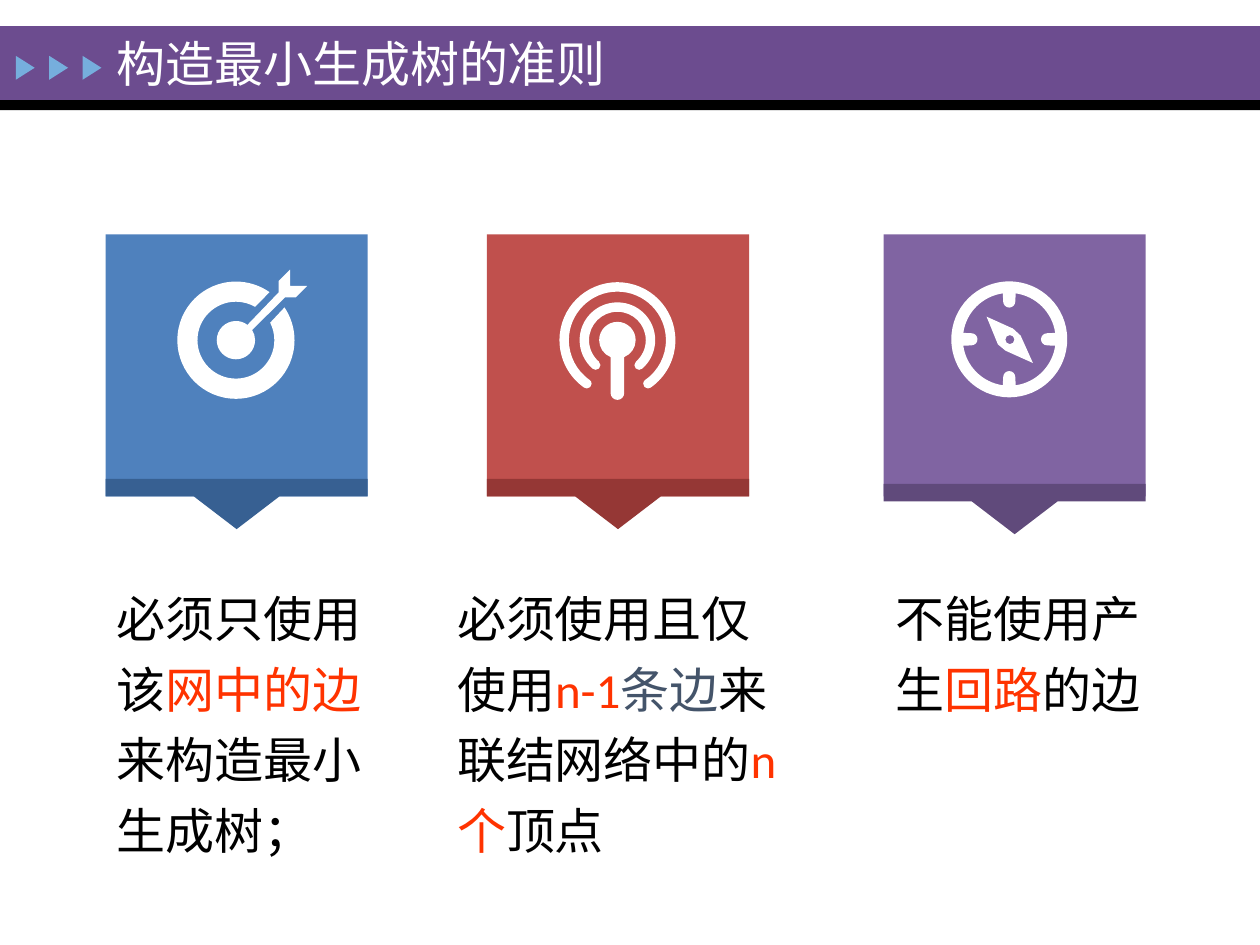
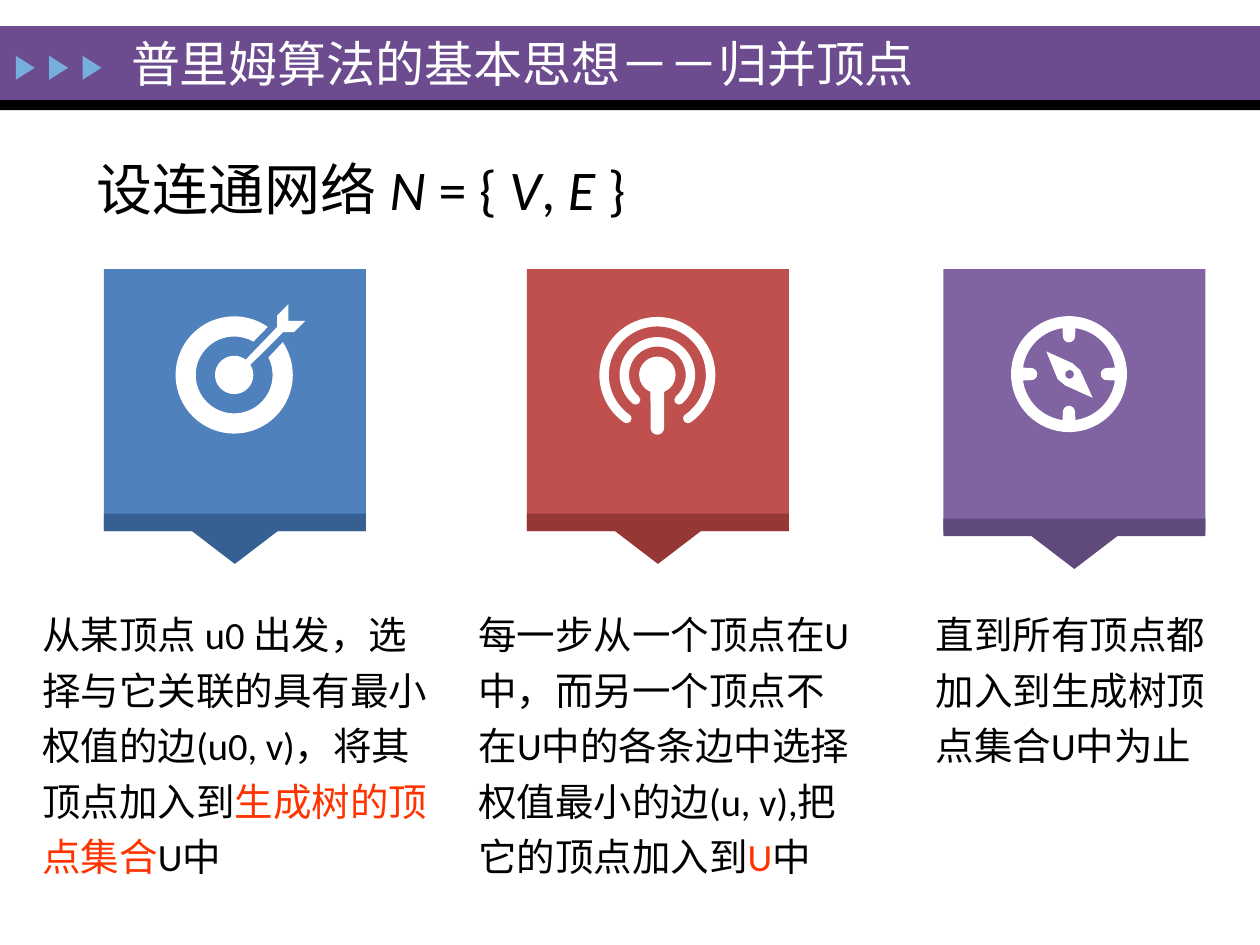
from math import cos, radians, sin, tan

from lxml import etree
from pptx import Presentation
from pptx import util as u
from pptx.dml.color import RGBColor
from pptx.enum import shapes, text
from pptx.oxml import ns

# The slide is a grid of 100 columns by 75 rows of equal square cells
CELL = u.Inches(0.1)
COLUMNS, ROWS = 100, 75
FONT = "Calibri"
COLORS = {
    "band": "6C4C8F", "rule": "000000", "marker": "76AEDD",
    "white": "FFFFFF", "ink": "000000", "key": "FF3300", "slate": "44546A",
    "blue": "4F81BD", "blue_dark": "376092",
    "red": "C0504D", "red_dark": "953735",
    "purple": "8064A2", "purple_dark": "604A7B",
}
CARD = 20.8
FLAP = 1.4


def cells(count):
    return u.Emu(round(count * CELL))


def paint(shape, color):
    shape.shadow.inherit = False
    shape.fill.solid()
    shape.fill.fore_color.rgb = RGBColor.from_string(COLORS[color])
    shape.line.fill.background()
    return shape


def add_preset(parent, kind, left, top, width, height, color):
    frame = map(cells, (left, top, width, height))
    return paint(parent.shapes.add_shape(kind, *frame), color)


def add_outline(parent, contours, left, top, color):
    """Draw closed contours as one shape.

    A contour is a list of nodes relative to (left, top). A node is (end,)
    for a straight side, or (end, control, control) for a curved one.
    """
    def place(point):
        return cells(left + point[0]), cells(top + point[1])

    builder = None
    for contour in contours:
        first, *rest = [place(node[0]) for node in contour]
        if builder is None:
            builder = parent.shapes.build_freeform(*first, scale=1.0)
        else:
            builder.move_to(*first)
        builder.add_line_segments(rest, close=True)
    shape = paint(builder.convert_to_shape(), color)

    # Bend the sides that have control points
    nodes = [node for contour in contours for node in contour[1:]]
    sides = list(shape.element.iter(ns.qn("a:lnTo")))
    for side, (_, *controls) in zip(sides, nodes):
        if controls:
            side.tag = ns.qn("a:cubicBezTo")
            for index, control in enumerate(controls):
                x, y = place(control)
                point = etree.Element(ns.qn("a:pt"), x=str(x - shape.left),
                                      y=str(y - shape.top))
                side.insert(index, point)
    return shape


def write(box, spans, size, color="ink", align=text.PP_ALIGN.LEFT,
          anchor=text.MSO_ANCHOR.TOP, spacing=None, fit=text.MSO_AUTO_SIZE.NONE):
    """Fill a box with one paragraph of (text, format) spans."""
    frame = box.text_frame
    frame.word_wrap = True
    frame.auto_size = fit
    frame.vertical_anchor = anchor
    para = frame.paragraphs[0]
    para.alignment = align
    if spacing:
        para.line_spacing = spacing
    for words, style in spans:
        span = para.add_run()
        span.text = words
        span.font.name = FONT
        span.font.size = u.Pt(size)
        span.font.italic = style == "italic"
        shade = style if style in COLORS else color
        span.font.color.rgb = RGBColor.from_string(COLORS[shade])


def add_text(page, left, top, width, height, spans, size, **style):
    box = page.shapes.add_textbox(*map(cells, (left, top, width, height)))
    write(box, spans, size, **style)


# Icon geometry, in cells around the icon's centre; angles run clockwise
def polar(radius, angle, center=(0, 0)):
    return (center[0] + radius * cos(radians(angle)),
            center[1] + radius * sin(radians(angle)))


def arc(radius, start, end, center=(0, 0)):
    """Curved nodes from start to end, cut at every quarter turn."""
    low, high = sorted((start, end))
    cuts = [angle for angle in range(-360, 721, 90) if low < angle < high]
    stops = sorted([start, *cuts, end], reverse=start > end)
    nodes = [(polar(radius, start, center),)]
    for a, b in zip(stops, stops[1:]):
        reach = 4 / 3 * tan(radians(b - a) / 4) * radius
        nodes.append((polar(radius, b, center),
                      polar(reach, a + 90, polar(radius, a, center)),
                      polar(reach, b - 90, polar(radius, b, center))))
    return nodes


def corners(*points):
    return [(point,) for point in points]


def rounded_band(outer, inner, start, end):
    middle, cap = (outer + inner) / 2, (outer - inner) / 2
    # Each arc starts where the one before ends
    return (arc(outer, start, end)
            + arc(cap, end, end + 180, polar(middle, end))[1:]
            + arc(inner, end, start)[1:]
            + arc(cap, start - 180, start, polar(middle, start))[1:])


def target_icon():
    ring = arc(4.65, -34, 305) + arc(3.05, 300, -27)
    arrow = corners((3.4, -3.8), (3.4, -4.7), (4.3, -5.6), (4.3, -4.3),
                    (5.65, -4.3), (4.75, -3.4), (3.9, -3.4))
    return [ring, arc(1.52, -32, 307) + arrow]


def signal_icon():
    stem = arc(0.54, 0, 180, (0, 4.2))
    return [rounded_band(4.6, 3.85, 125, 415),
            rounded_band(3, 2.25, 131, 409),
            arc(1.45, 112, 428) + stem]


def compass_icon():
    hole = []
    for tick in (90, 180, 270, 360):
        hole += arc(3.68, tick - 82, tick - 8)
        hole += arc(0.48, tick - 90, tick - 270, polar(3, tick))
    needle = corners((0.3, -0.85), (-1.8, -1.8), (-0.9, 0.4),
                     (-0.3, 0.9), (1.88, 1.88), (0.9, -0.3))
    return [arc(4.6, 0, 360), hole, needle, arc(0.36, 0, 360, (0.05, 0.02))]


# Each card: colour, icon outlines, icon centre, extra drop of the flap
CARDS = [
    ("blue", target_icon(), (10.35, 8.4), 0),
    ("red", signal_icon(), (10.35, 8.4), 0),
    ("purple", compass_icon(), (9.97, 8.33), 0.4),
]


def add_card(page, left, top, color, icon, center, drop):
    card = page.shapes.add_group_shape()
    add_preset(card, shapes.MSO_SHAPE.RECTANGLE, left, top, CARD, CARD, color)
    middle, half, tip = CARD / 2, 3.4, 4
    flap = corners((0, 0), (CARD, 0), (CARD, FLAP), (middle + half, FLAP),
                   (middle, tip), (middle - half, FLAP), (0, FLAP))
    add_outline(card, [flap], left, top + CARD - FLAP + drop, color + "_dark")
    add_outline(card, icon, left + center[0], top + center[1], "white")


def dress_layout(page):
    """Give the page's layout the band, the rule and three markers."""
    rectangle = shapes.MSO_SHAPE.RECTANGLE
    parts = [add_preset(page, rectangle, 0, 2.07, COLUMNS, 5.87, "band"),
             add_preset(page, rectangle, 0, 7.94, COLUMNS, 0.8, "rule")]
    for index in range(3):
        marker = add_preset(page, shapes.MSO_SHAPE.ISOSCELES_TRIANGLE,
                            1.05 + 2.65 * index, 4.63, 1.9, 1.5, "marker")
        marker.rotation = 90
        parts.append(marker)
    for number, part in enumerate(parts, start=100):
        part.element.xpath(".//p:cNvPr")[0].set("id", str(number))
        page.slide_layout.shapes.element.append(part.element)


def add_card_slide(deck, title, title_box, card_top, text_top, size, columns):
    """Each column is (card left, text left, text width, text height, spans)."""
    page = deck.slides.add_slide(deck.slide_layouts[5])
    box = page.shapes.title
    left, width = title_box
    box.left, box.top, box.width, box.height = map(cells, (left, 2.2, width, 5.6))
    write(box, [(title, None)], 28, color="white", anchor=text.MSO_ANCHOR.MIDDLE)
    for card, (card_left, left, width, height, spans) in zip(CARDS, columns):
        add_card(page, card_left, card_top, *card)
        add_text(page, left, text_top, width, height, spans, size, spacing=1.2,
                 fit=text.MSO_AUTO_SIZE.SHAPE_TO_FIT_TEXT)
    return page


def main():
    deck = Presentation()
    deck.slide_width, deck.slide_height = cells(COLUMNS), cells(ROWS)

    # Rules for building a minimum spanning tree
    page = add_card_slide(
        deck, "构造最小生成树的准则", (8.25, 55.9), 18.6, 45.3, 28, [
            (8.38, 8.3, 23.4, 23.6, [
                ("必须只使用该", None), ("网中的边", "key"), ("来构造最小生成树；", None)]),
            (38.65, 35.3, 28.1, 23.6, [
                ("必须使用且仅使用", None), ("n-1", "key"), ("条边", "slate"),
                ("来联结网络中的", None), ("n个", "key"), ("顶点", None)]),
            (70.13, 70.13, 24, 11.8, [
                ("不能使用产生", None), ("回路", "key"), ("的边", None)]),
        ])
    dress_layout(page)

    # Prim's algorithm
    page = add_card_slide(
        deck, "普里姆算法的基本思想－－归并顶点", (9.4, 75.6), 21.36, 47.3, 22, [
            (8.24, 2.4, 33.4, 23.2, [
                ("从某顶点 u0 出发，选择与它关联的具有最小权值的边(u0, v)，将其顶点加入到", None),
                ("生成树的顶点集合", "key"), ("U中", None)]),
            (41.82, 37, 31.9, 23.2, [
                ("每一步从一个顶点在U中，而另一个顶点不在U中的各条边中选择权值最小的边"
                 "(u, v),把它的顶点加入到", None),
                ("U", "key"), ("中", None)]),
            (74.87, 73.3, 24, 14.3, [
                ("直到所有顶点都加入到生成树顶点集合U中为止", None)]),
        ])
    network = [("设连通网络 ", None), ("N", "italic"), (" = { ", None),
               ("V", "italic"), (", ", None), ("E", "italic"), (" }", None)]
    add_text(page, 6.7, 11.2, 92, 7.9, network, 32, spacing=1.1,
             align=text.PP_ALIGN.JUSTIFY)

    deck.save("out.pptx")


if __name__ == "__main__":
    main()
